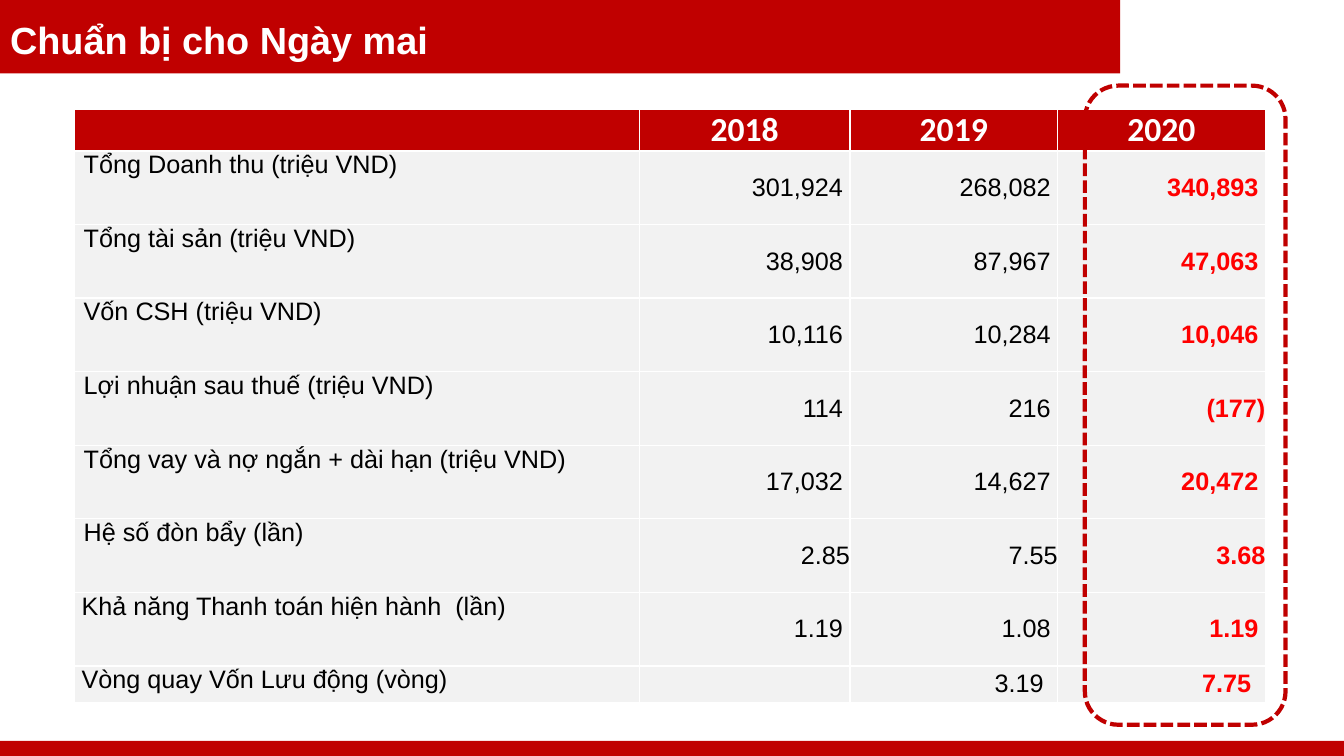
from lxml import etree
from pptx import Presentation
from pptx.dml.color import RGBColor
from pptx.enum.dml import MSO_LINE
from pptx.enum.shapes import MSO_SHAPE
from pptx.enum.text import MSO_ANCHOR, MSO_AUTO_SIZE, PP_ALIGN
from pptx.oxml.ns import qn
from pptx.util import Inches, Pt

RECTANGLE, ROUNDED = MSO_SHAPE.RECTANGLE, MSO_SHAPE.ROUNDED_RECTANGLE
LEFT, CENTER, RIGHT = PP_ALIGN.LEFT, PP_ALIGN.CENTER, PP_ALIGN.RIGHT
TOP, MIDDLE = MSO_ANCHOR.TOP, MSO_ANCHOR.MIDDLE
DASH = MSO_LINE.SQUARE_DOT

BRAND_RED = RGBColor(0xC0, 0x00, 0x00)
BRIGHT_RED = RGBColor(0xFF, 0x00, 0x00)
WHITE = RGBColor(0xFF, 0xFF, 0xFF)
BLACK = RGBColor(0x00, 0x00, 0x00)
LIGHT_GRAY = RGBColor(0xF2, 0xF2, 0xF2)

SPACE = 0.07  # gap after a figure, in inches
COLUMN_WIDTHS = [5.6, 2.09, 2.06, 2.06]
HEADER_HEIGHT, ROW_HEIGHT, LAST_HEIGHT = 0.39, 0.73, 0.36
YEARS = ["", "2018", "2019", "2020"]
# Label, its left inset, figures, and right insets of the figures
ROWS = [
    ("Tổng Doanh thu (triệu VND)", 0.09, ["301,924", "268,082", "340,893"], [SPACE] * 3),
    ("Tổng tài sản (triệu VND)", 0.09, ["38,908", "87,967", "47,063"], [SPACE] * 3),
    ("Vốn CSH (triệu VND)", 0.09, ["10,116", "10,284", "10,046"], [SPACE] * 3),
    ("Lợi nhuận sau thuế (triệu VND)", 0.09, ["114", "216", "(177)"], [SPACE, SPACE, 0]),
    ("Tổng vay và nợ ngắn + dài hạn (triệu VND)", 0.09,
     ["17,032", "14,627", "20,472"], [SPACE] * 3),
    ("Hệ số đòn bẩy (lần)", 0.09, ["2.85", "7.55", "3.68"], [0] * 3),
    ("Khả năng Thanh toán hiện hành  (lần)", SPACE, ["1.19", "1.08", "1.19"], [SPACE] * 3),
    ("Vòng quay Vốn Lưu động (vòng)", SPACE, ["", "3.19", "7.75"], [2 * SPACE] * 3),
]


def write_text(text_frame, text, size=18, font="Arial", color=BLACK, bold=False,
               align=LEFT, line_spacing=None):
    paragraph = text_frame.paragraphs[0]
    paragraph.alignment = align
    if line_spacing:
        paragraph.line_spacing = line_spacing
    if text:
        run = paragraph.add_run()
        run.text = text
        run.font.size = Pt(size)
        run.font.name = font
        run.font.bold = bold
        run.font.color.rgb = color


def add_bar(slide, left, top, width, height):
    bar = slide.shapes.add_shape(RECTANGLE, Inches(left), Inches(top),
                                 Inches(width), Inches(height))
    bar.shadow.inherit = False
    bar.fill.solid()
    bar.fill.fore_color.rgb = BRAND_RED
    bar.line.fill.background()


def place_title(slide, text, left, top, width, height):
    title = slide.shapes.title
    title.left, title.top = Inches(left), Inches(top)
    title.width, title.height = Inches(width), Inches(height)
    text_frame = title.text_frame
    text_frame.auto_size = MSO_AUTO_SIZE.NONE
    text_frame.vertical_anchor = TOP
    text_frame.margin_left = text_frame.margin_right = Inches(0.1)
    text_frame.margin_top, text_frame.margin_bottom = Inches(0.08), 0
    write_text(text_frame, text, size=27, color=WHITE, bold=True, line_spacing=0.9)
    # Bring the title in front of the bars
    title.element.getparent().append(title.element)


def add_cell_borders(cell):
    properties = cell._tc.get_or_add_tcPr()
    for side in ("lnL", "lnR", "lnT", "lnB"):
        border = etree.SubElement(properties, qn(f"a:{side}"), w=str(Pt(1)))
        fill = etree.SubElement(border, qn("a:solidFill"))
        etree.SubElement(fill, qn("a:srgbClr"), val=str(WHITE))


def format_cell(cell, text, fill, anchor=MIDDLE, left=0, right=0, **text_format):
    cell.margin_left, cell.margin_right = Inches(left), Inches(right)
    cell.margin_top = cell.margin_bottom = 0
    cell.vertical_anchor = anchor
    add_cell_borders(cell)
    cell.fill.solid()
    cell.fill.fore_color.rgb = fill
    write_text(cell.text_frame, text, **text_format)


def add_figures_table(slide, left, top, width, height):
    table = slide.shapes.add_table(len(ROWS) + 1, len(YEARS), Inches(left), Inches(top),
                                   Inches(width), Inches(height)).table
    table.horz_banding = False
    for column, column_width in zip(table.columns, COLUMN_WIDTHS):
        column.width = Inches(column_width)
    row_heights = [HEADER_HEIGHT] + [ROW_HEIGHT] * (len(ROWS) - 1) + [LAST_HEIGHT]
    for row, row_height in zip(table.rows, row_heights):
        row.height = Inches(row_height)

    # Header row
    for column_index, year in enumerate(YEARS):
        format_cell(table.cell(0, column_index), year, BRAND_RED, size=24, font="Calibri",
                    color=WHITE, bold=True, align=CENTER)

    # Labels and figures, with the latest year highlighted
    for row_index, (label, inset, figures, gaps) in enumerate(ROWS, start=1):
        format_cell(table.cell(row_index, 0), label, LIGHT_GRAY, anchor=TOP, left=inset)
        for column_index, (figure, gap) in enumerate(zip(figures, gaps), start=1):
            latest = column_index == len(figures)
            format_cell(table.cell(row_index, column_index), figure, LIGHT_GRAY, right=gap,
                        color=BRIGHT_RED if latest else BLACK, bold=latest, align=RIGHT)


def add_highlight_frame(slide, left, top, width, height):
    frame = slide.shapes.add_shape(ROUNDED, Inches(left), Inches(top),
                                   Inches(width), Inches(height))
    frame.shadow.inherit = False
    frame.fill.background()
    frame.line.color.rgb = BRAND_RED
    frame.line.width = Pt(3)
    frame.line.dash_style = DASH
    # The square-dot preset is the short round-off; this frame uses short dashes
    frame.line._ln.find(qn("a:prstDash")).set("val", "sysDash")


def build_slide(presentation):
    slide = presentation.slides.add_slide(presentation.slide_layouts[5])
    add_bar(slide, 0, 0, 11.11, 0.73)
    add_bar(slide, 0, 7.35, 13.33, 0.15)
    place_title(slide, "Chuẩn bị cho Ngày mai", 0, 0.14, 5.28, 0.33)
    add_figures_table(slide, 0.74, 1.09, 11.81, 5.86)
    add_highlight_frame(slide, 10.76, 0.85, 1.99, 6.34)


def main():
    presentation = Presentation()
    presentation.slide_width = Inches(13.33)
    presentation.slide_height = Inches(7.5)
    build_slide(presentation)
    presentation.save("out.pptx")


if __name__ == "__main__":
    main()
